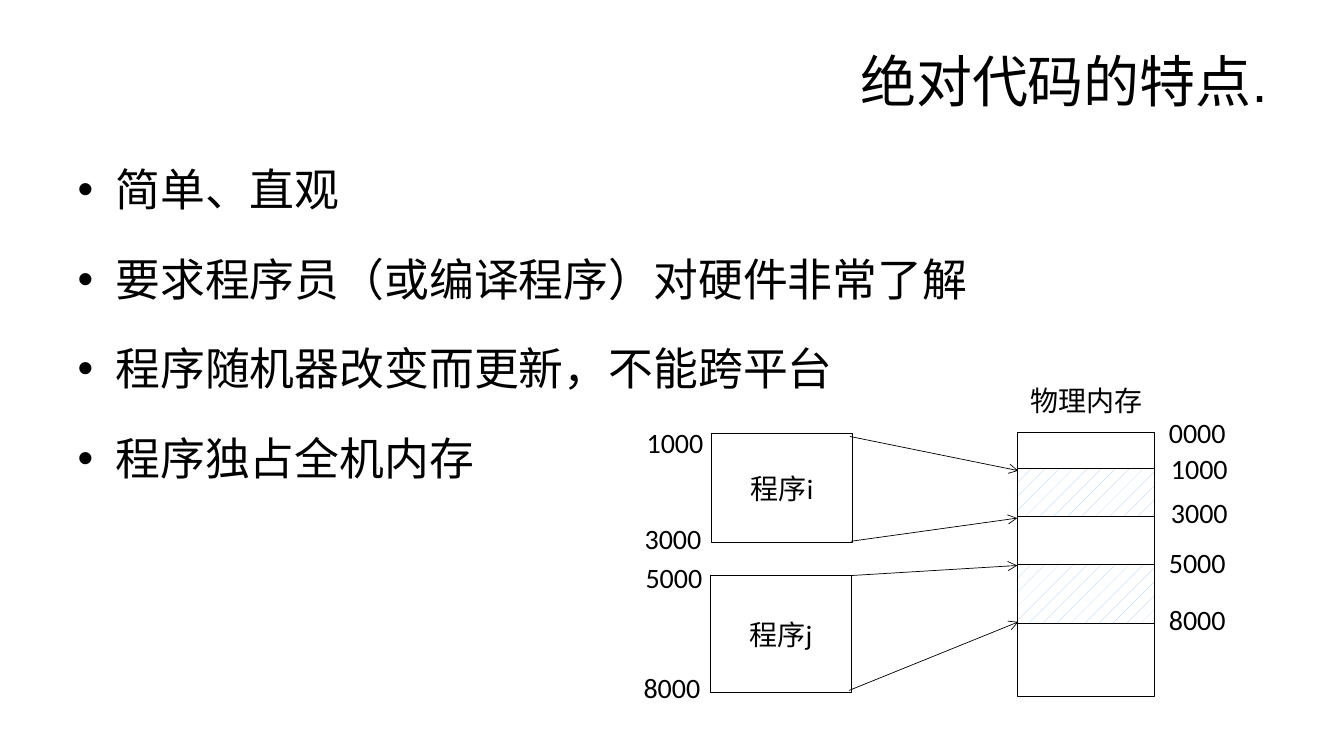
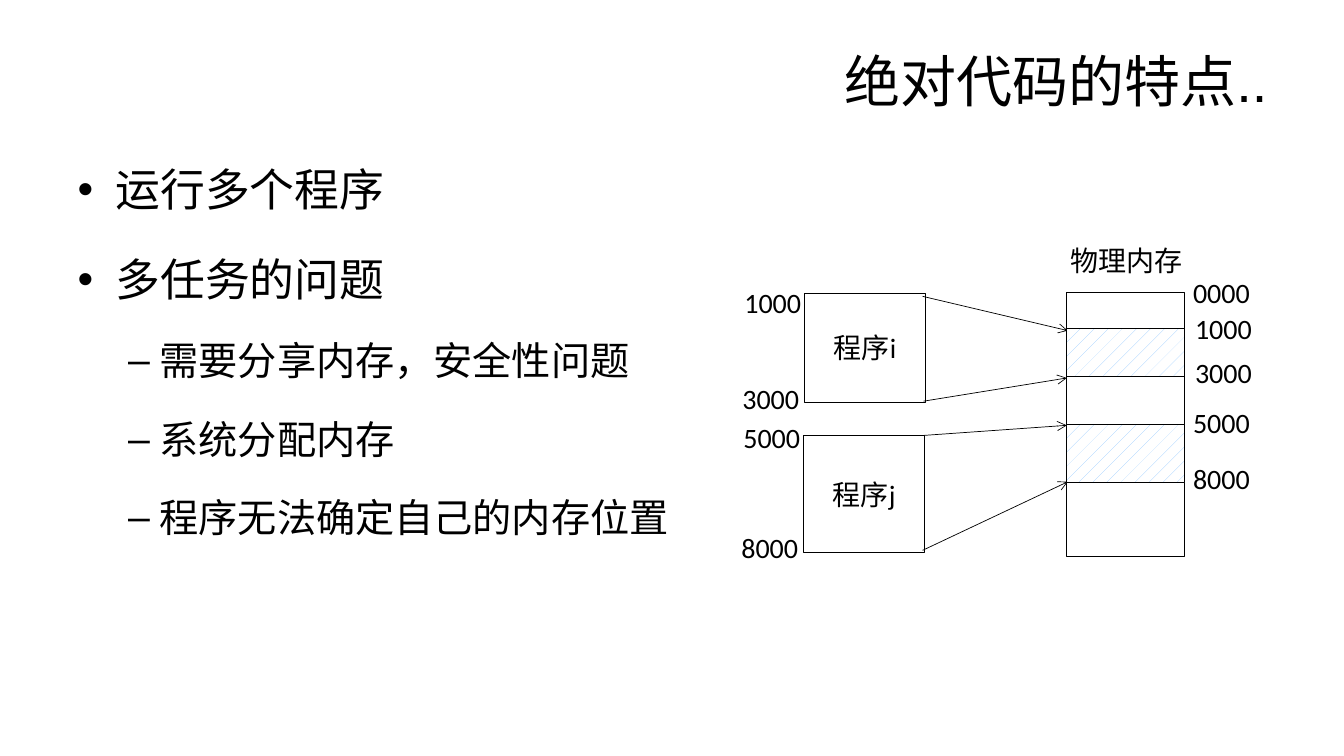
import pptx
import pptx.dml.color
import pptx.enum.dml
import pptx.enum.shapes
import pptx.enum.text
import pptx.oxml
import pptx.oxml.ns
import pptx.util

BLACK = pptx.dml.color.RGBColor(0x00, 0x00, 0x00)
WHITE = pptx.dml.color.RGBColor(0xFF, 0xFF, 0xFF)
LIGHT_BLUE = pptx.dml.color.RGBColor(0x99, 0xCC, 0xFF)
CJK_FONT = "Noto Sans CJK SC"
ALIGN = pptx.enum.text.PP_ALIGN
MIDDLE = pptx.enum.text.MSO_ANCHOR.MIDDLE
EMU_PER_PX = 9144

PROGRAMS = [("程序i", 74, 1, 108), ("程序j", 73, 142, 116)]
ARROWS = [(211, 4, 378, 38), (212, 108, 377, 85), (210, 256, 378, 188), (212, 142, 377, 132)]
USED_BLOCKS = [(131, 58), (36, 47)]
ADDRESSES = [
    ("3000", 0, 86), ("1000", 2, -9), ("8000", -1, 234), ("5000", 1, 125),
    ("0000", 520, -19), ("1000", 522, 17), ("3000", 522, 60),
    ("5000", 520, 110), ("8000", 520, 166),
]


def px(n):
    return pptx.util.Emu(n * EMU_PER_PX)


def write(p, text, font="Calibri", size=20, align=ALIGN.CENTER):
    p.alignment = align
    r = p.add_run()
    r.text = text
    r.font.name = font
    r.font.size = pptx.util.Pt(size)
    r.font.color.rgb = BLACK
    ea = pptx.oxml.parse_xml(f'<a:ea {pptx.oxml.ns.nsdecls("a")} typeface="{CJK_FONT}"/>')
    r.font._element.find(pptx.oxml.ns.qn("a:latin")).addnext(ea)


class Deck:
    """Holds the shared style and the current slide."""

    def __init__(self):
        self.prs = pptx.Presentation()
        self.prs.slide_width = px(1333)
        self.prs.slide_height = px(750)

    def place(self, sp, left, top, width, height):
        sp.left, sp.top, sp.width, sp.height = map(px, (left, top, width, height))

    def slide(self, title, items):
        self.s = self.prs.slides.add_slide(self.prs.slide_layouts[1])
        sp = self.s.shapes.title
        self.place(sp, 67, 30, 1200, 99)
        sp.text_frame.vertical_anchor = MIDDLE
        write(sp.text_frame.paragraphs[0], title, "Arial", 40, ALIGN.RIGHT)
        self.bullets(items)

    def bullets(self, items):
        sp = self.s.placeholders[1]
        self.place(sp, 67, 129, 1200, 541)
        tf = sp.text_frame
        for i, (level, text) in enumerate(items):
            p = tf.add_paragraph() if i else tf.paragraphs[0]
            p.level = level
            p.line_spacing = 1.5
            if not i:
                p.space_before = pptx.util.Pt(0)
            write(p, text, CJK_FONT, 28 if level else 32, ALIGN.LEFT)

    def center_text(self, sp, text):
        tf = sp.text_frame
        tf.margin_left = tf.margin_right = tf.margin_top = tf.margin_bottom = 0
        tf.word_wrap = True
        tf.vertical_anchor = MIDDLE
        write(tf.paragraphs[0], text)

    def label(self, text, left, top, width):
        sp = self.s.shapes.add_textbox(px(left), px(top), px(width), px(38))
        self.center_text(sp, text)

    def box(self, left, top, width, height, text="", hatched=False):
        sp = self.s.shapes.add_shape(
            pptx.enum.shapes.MSO_SHAPE.RECTANGLE, px(left), px(top), px(width), px(height))
        sp.shadow.inherit = False
        if hatched:
            sp.fill.patterned()
            sp.fill.pattern = pptx.enum.dml.MSO_PATTERN.PERCENT_5
            sp.fill.fore_color.rgb = LIGHT_BLUE
            sp.fill.back_color.rgb = WHITE
        else:
            sp.fill.background()
        self.outline(sp)
        if text:
            self.center_text(sp, text)

    def outline(self, sp):
        sp.line.color.rgb = BLACK
        sp.line.width = pptx.util.Pt(0.5)

    def arrow(self, x1, y1, x2, y2):
        sp = self.s.shapes.add_connector(
            pptx.enum.shapes.MSO_CONNECTOR.STRAIGHT, px(x1), px(y1), px(x2), px(y2))
        self.outline(sp)
        ns = pptx.oxml.ns.nsdecls("a")
        sp.line._get_or_add_ln().append(pptx.oxml.parse_xml(f'<a:tailEnd {ns} type="arrow"/>'))
        sp._element.spPr.append(pptx.oxml.parse_xml(f"<a:effectLst {ns}/>"))

    def memory_map(self, left, top, stretch=1.0):
        def wide(n):
            return round(n * stretch)

        def x(n):
            return left + wide(n)

        for name, start, y, height in PROGRAMS:
            self.box(x(start), top + y, wide(139), height, name)
        self.box(x(377), top, wide(136), 262)
        for x1, y1, x2, y2 in ARROWS:
            self.arrow(x(x1), top + y1, x(x2), top + y2)
        self.label("物理内存", x(377), top - 51, wide(137))
        for y, height in USED_BLOCKS:
            self.box(x(377), top + y, wide(136), height, hatched=True)
        for text, start, y in ADDRESSES:
            self.label(text, x(start), top + y, wide(71))


def main():
    deck = Deck()
    deck.slide("绝对代码的特点.", [
        (0, "简单、直观"),
        (0, "要求程序员（或编译程序）对硬件非常了解"),
        (0, "程序随机器改变而更新，不能跨平台"),
        (0, "程序独占全机内存"),
    ])
    deck.memory_map(632, 429)
    deck.slide("绝对代码的特点..", [
        (0, "运行多个程序"),
        (0, "多任务的问题"),
        (1, "需要分享内存，安全性问题"),
        (1, "系统分配内存"),
        (1, "程序无法确定自己的内存位置"),
    ])
    deck.memory_map(734, 290, 0.86)
    deck.prs.save("out.pptx")


if __name__ == "__main__":
    main()
